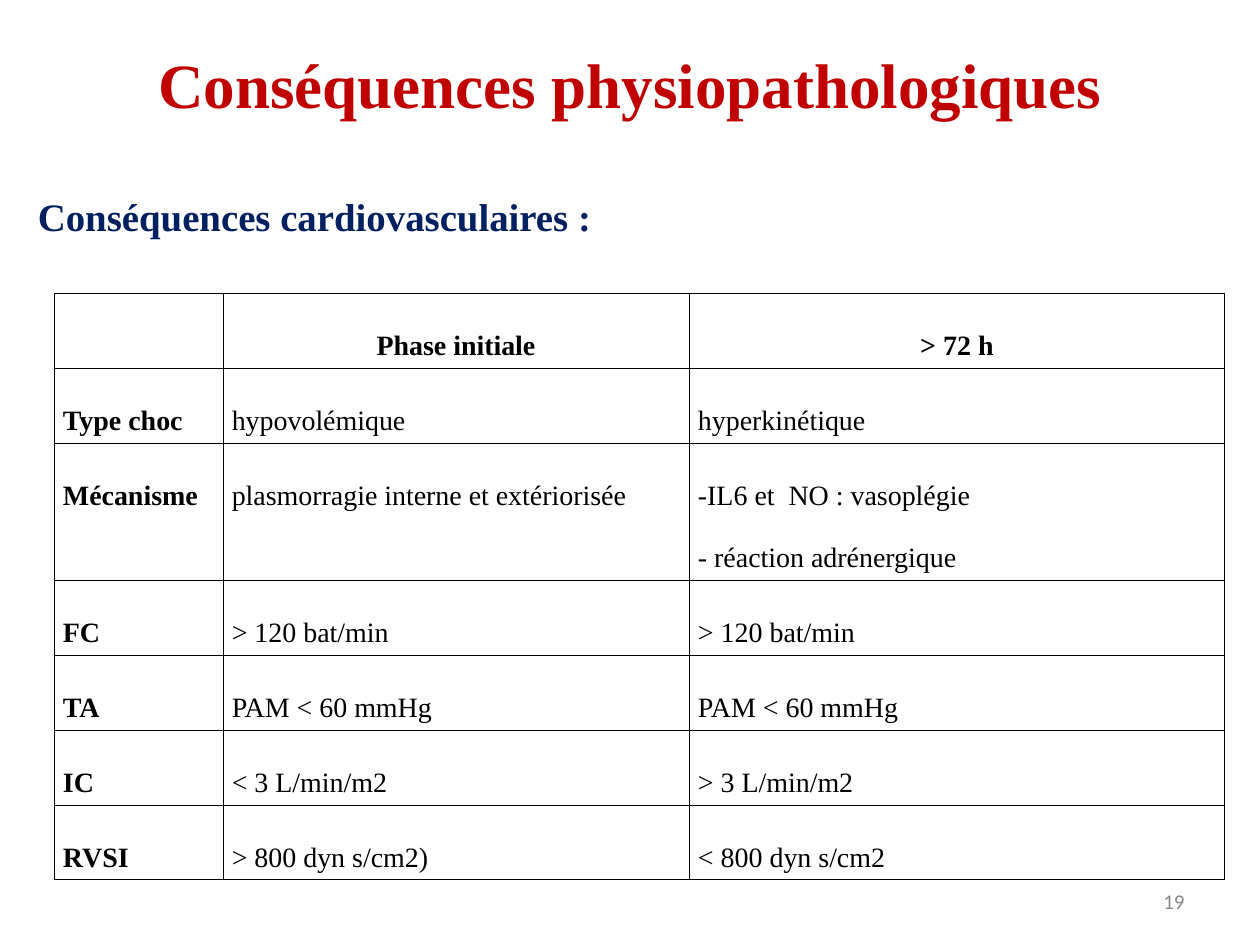
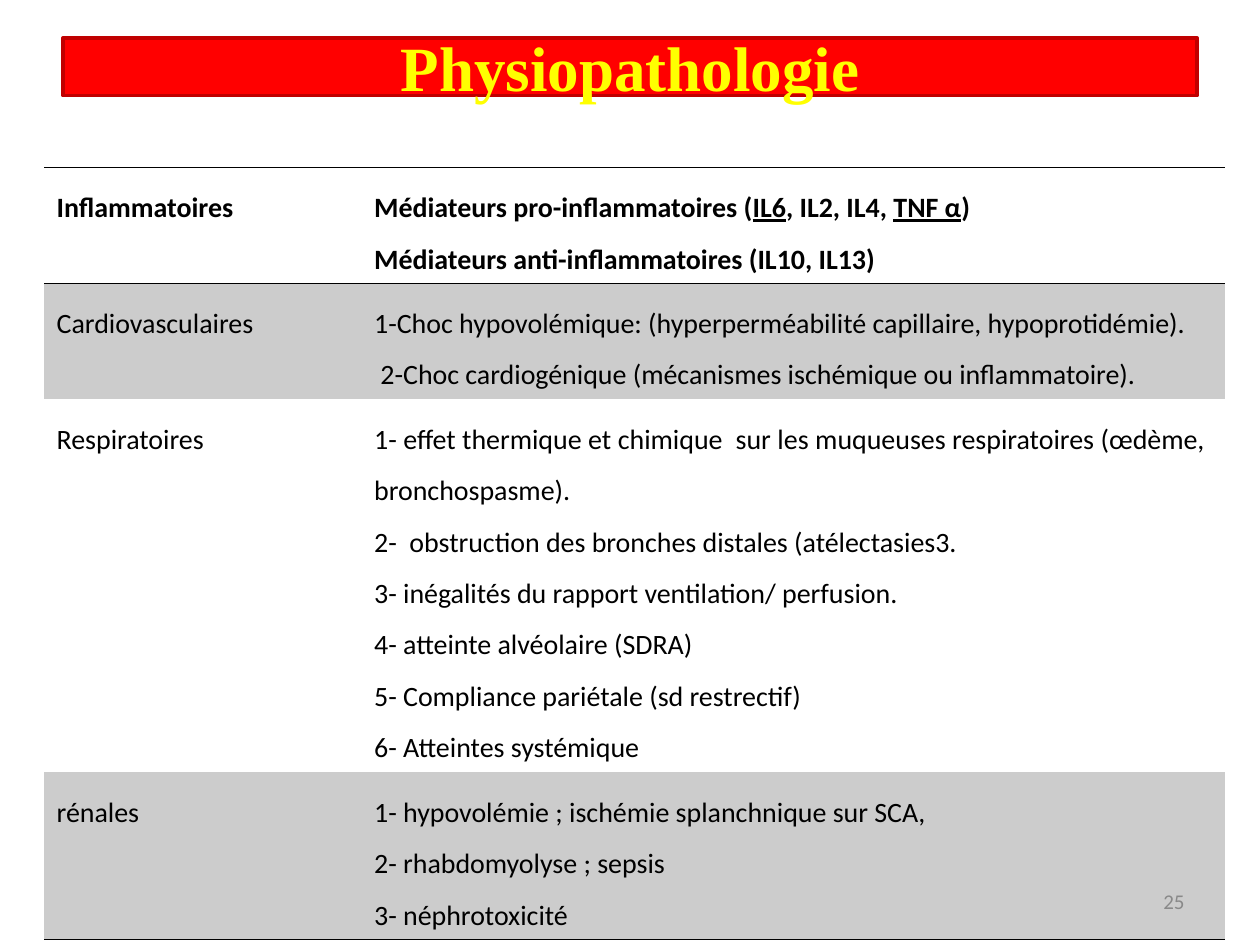
from dataclasses import dataclass

from lxml import etree
from pptx import Presentation
from pptx import util as u
from pptx.dml.color import RGBColor
from pptx.enum import text
from pptx.oxml import ns

HUES = {
    "black": "000000", "dark": "C00000", "red": "FF0000", "gold": "FFFF00",
    "navy": "002060", "gray": "898989", "band": "CCCCCC", "white": "FFFFFF",
}
SERIF, SANS = "Times New Roman", "Calibri"
EDGES = ("lnL", "lnR", "lnT", "lnB")
ALIGN = text.PP_ALIGN


@dataclass
class Head:
    title: str
    high: float
    hue: str
    page: str


@dataclass
class Grid:
    left: float
    top: float
    cols: list[float]
    rows: list[float]
    cells: list[list[str]]
    font: str
    space: float
    pad: float
    boxed: bool
    rules: tuple[int, ...] = ()
    bands: tuple[int, ...] = ()


SIGNS = Grid(
    0.43, 2.33, [1.34, 3.7, 4.25], [0.53, 0.53, 1.07] + [0.53] * 4,
    [
        ["", "Phase initiale", "> 72 h"],
        ["Type choc", "hypovolémique", "hyperkinétique"],
        ["Mécanisme", "plasmorragie interne et extériorisée",
         "-IL6 et  NO : vasoplégie\n- réaction adrénergique"],
        ["FC", "> 120 bat/min", "> 120 bat/min"],
        ["TA", "PAM < 60 mmHg", "PAM < 60 mmHg"],
        ["IC", "< 3 L/min/m2", "> 3 L/min/m2"],
        ["RVSI", "> 800 dyn s/cm2)", "< 800 dyn s/cm2"],
    ],
    SERIF, 2.0, 0.07, True,
)

ORGANS = Grid(
    0.35, 1.33, [2.52, 6.85], [0.92, 0.92, 2.96, 1.33],
    [
        ["Inflammatoires",
         "Médiateurs pro-inflammatoires (|IL6|, IL2, IL4, |TNF α|)\n"
         "Médiateurs anti-inflammatoires (IL10, IL13)"],
        ["Cardiovasculaires",
         "1-Choc hypovolémique: (hyperperméabilité capillaire, hypoprotidémie).\n"
         " 2-Choc cardiogénique (mécanismes ischémique ou inflammatoire)."],
        ["Respiratoires",
         "1- effet thermique et chimique  sur les muqueuses respiratoires "
         "(œdème,  bronchospasme).\n"
         "2-  obstruction des bronches distales (atélectasies3.\n"
         "3- inégalités du rapport ventilation/ perfusion.\n"
         "4- atteinte alvéolaire (SDRA)\n"
         "5- Compliance pariétale (sd restrectif)\n"
         "6- Atteintes systémique"],
        ["rénales",
         "1- hypovolémie ; ischémie splanchnique sur SCA,\n"
         "2- rhabdomyolyse ; sepsis\n"
         "3- néphrotoxicité"],
    ],
    SANS, 1.5, 0.1, False, (0, 1, 4), (1, 3),
)


def tint(name: str) -> RGBColor:
    return RGBColor.from_string(HUES[name])


def place(shape, left: float, top: float, wide: float, high: float) -> None:
    shape.left, shape.top = u.Inches(left), u.Inches(top)
    shape.width, shape.height = u.Inches(wide), u.Inches(high)


def style(para, font: str, size: float, hue: str, bold: bool, align) -> None:
    para.alignment = align
    para.space_before = u.Pt(0)
    for run in para.runs:
        run.font.name, run.font.size = font, u.Pt(size)
        run.font.bold, run.font.color.rgb = bold, tint(hue)


def write(shape, words: str, *look) -> None:
    frame = shape.text_frame
    frame.text = words
    frame.word_wrap = True
    frame.auto_size = text.MSO_AUTO_SIZE.NONE
    style(frame.paragraphs[0], *look)


def start(deck, layout: int, head: Head):
    slide = deck.slides.add_slide(deck.slide_layouts[layout])
    title = slide.shapes.title
    place(title, 0.5, 0.3, 9, head.high)
    write(title, head.title, SERIF, 36, head.hue, True, ALIGN.CENTER)
    title.text_frame.vertical_anchor = text.MSO_ANCHOR.MIDDLE
    return slide


def number(slide, head: Head) -> None:
    box = slide.shapes.add_textbox(*map(u.Inches, (7.17, 6.95, 2.33, 0.4)))
    write(box, head.page, SANS, 12, "gray", False, ALIGN.RIGHT)
    box.text_frame.vertical_anchor = text.MSO_ANCHOR.MIDDLE


def border(cell, drawn: set[str]) -> None:
    props = cell._tc.get_or_add_tcPr()
    for edge in EDGES:
        line = etree.SubElement(props, ns.qn(f"a:{edge}"), w=str(u.Pt(0.45)))
        if edge in drawn:
            fill = etree.SubElement(line, ns.qn("a:solidFill"))
            etree.SubElement(fill, ns.qn("a:srgbClr"), val=HUES["black"])
        else:
            etree.SubElement(line, ns.qn("a:noFill"))


def fill_cell(cell, words: str, grid: Grid, bold: bool, align) -> None:
    cell.margin_left = cell.margin_right = u.Inches(grid.pad)
    frame = cell.text_frame
    frame.text = words.replace("|", "")
    for para, line in zip(frame.paragraphs, words.split("\n")):
        parts = line.split("|")
        if len(parts) > 1:
            para.text = parts[0]
            for index, part in enumerate(parts[1:], 1):
                run = para.add_run()
                run.text = part
                run.font.underline = index % 2 == 1
        para.line_spacing = grid.space
        style(para, grid.font, 16, "black", bold, align)


def draw(slide, grid: Grid) -> None:
    frame = slide.shapes.add_table(
        len(grid.rows), len(grid.cols), u.Inches(grid.left), u.Inches(grid.top),
        u.Inches(sum(grid.cols)), u.Inches(sum(grid.rows)))
    table = frame.table
    table.first_row = table.horz_banding = False
    for col, wide in zip(table.columns, grid.cols):
        col.width = u.Inches(wide)
    for row, high in zip(table.rows, grid.rows):
        row.height = u.Inches(high)
    for r, line in enumerate(grid.cells):
        drawn = {edge for edge, rule in (("lnT", r), ("lnB", r + 1)) if rule in grid.rules}
        for c, words in enumerate(line):
            cell = table.cell(r, c)
            border(cell, set(EDGES) if grid.boxed else drawn)
            cell.fill.solid()
            cell.fill.fore_color.rgb = tint("band" if r in grid.bands else "white")
            bold = r == 0 or (grid.boxed and c == 0)
            align = ALIGN.CENTER if grid.boxed and r == 0 else ALIGN.JUSTIFY
            fill_cell(cell, words, grid, bold, align)


def effects(deck) -> None:
    head = Head("Conséquences physiopathologiques", 0.72, "dark", "19")
    slide = start(deck, 1, head)
    body = slide.placeholders[1]
    place(body, 0.2, 1.33, 9.53, 0.61)
    write(body, "Conséquences cardiovasculaires :", SERIF, 22.2, "navy", True, ALIGN.JUSTIFY)
    para = body.text_frame.paragraphs[0]
    para.line_spacing = 1.4
    props = para._p.get_or_add_pPr()
    props.set("marL", str(u.Inches(0.38)))
    props.set("indent", str(u.Inches(-0.38)))
    etree.SubElement(props, ns.qn("a:buNone"))
    draw(slide, SIGNS)
    number(slide, head)


def causes(deck) -> None:
    head = Head("Physiopathologie", 0.46, "gold", "25")
    slide = start(deck, 5, head)
    title = slide.shapes.title
    title.fill.solid()
    title.fill.fore_color.rgb = tint("red")
    title.line.color.rgb = tint("dark")
    title.line.width = u.Pt(2)
    draw(slide, ORGANS)
    number(slide, head)


def main() -> None:
    deck = Presentation()
    deck.slide_width, deck.slide_height = u.Inches(10), u.Inches(7.5)
    effects(deck)
    causes(deck)
    deck.save("out.pptx")


if __name__ == "__main__":
    main()
